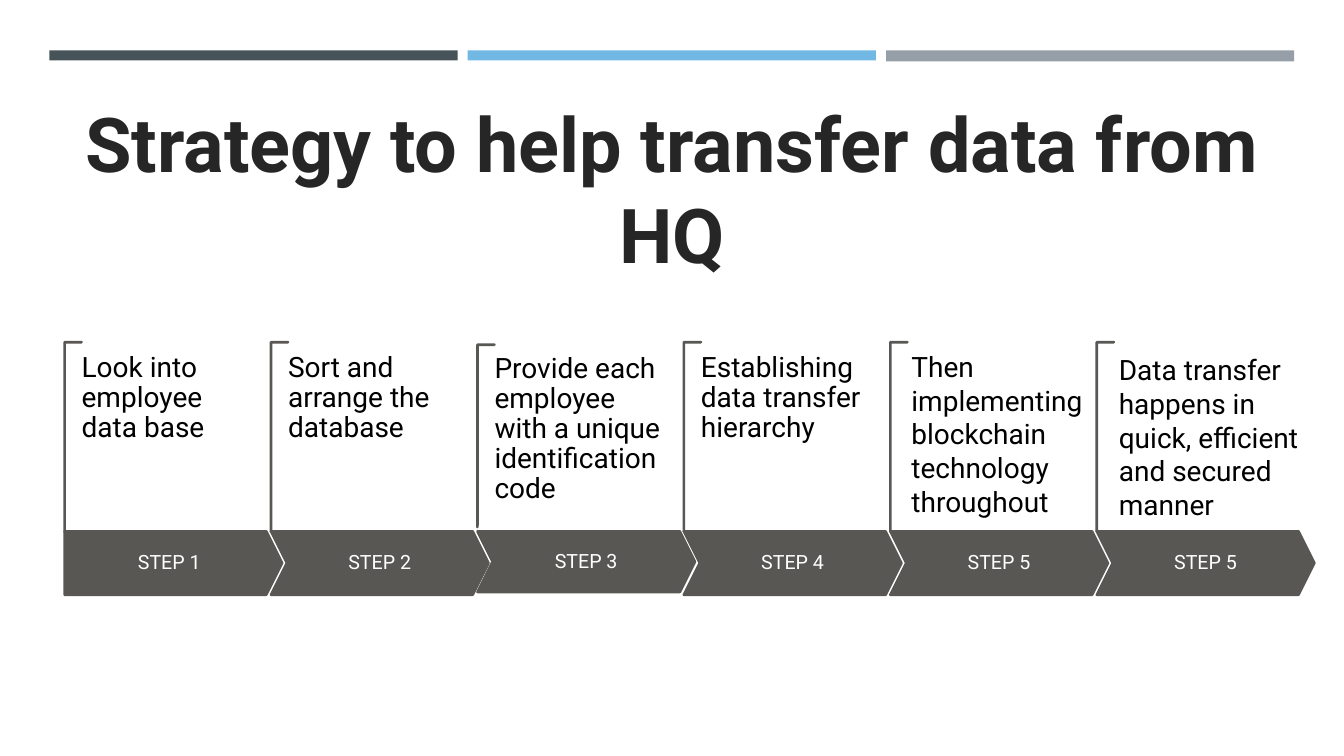
from pptx import Presentation
from pptx.util import Pt
from pptx.dml.color import RGBColor
from pptx.enum.shapes import MSO_SHAPE
from pptx.enum.text import PP_ALIGN, MSO_ANCHOR, MSO_AUTO_SIZE

TITLE = "Strategy to help transfer data from HQ"
BARS = [("465359", 7.2), ("71B9E4", 7.2), ("969FA7", 7.9)]
STEPS = [
    ("STEP 1", "Look into employee data base"),
    ("STEP 2", "Sort and arrange the database"),
    ("STEP 3", "Provide each employee with a unique identification code"),
    ("STEP 4", "Establishing data transfer hierarchy"),
    ("STEP 5", "Then implementing blockchain technology throughout"),
    ("STEP 5", "Data transfer happens in quick, efficient and secured manner"),
]
NOTE = {"dx": 12.2, "top": 252, "width": 126, "space": 0.9}
NOTES = {
    2: {**NOTE, "top": 252.7},
    4: {"dx": 15.1, "top": 249.8, "width": 134, "space": 1},
    5: {"dx": 15.8, "top": 252, "width": 132.5, "space": 1},
}
SHORT = 2
GRAY, CREAM, WHITE, BLACK, INK = "585753", "EBDDC3", "FFFFFF", "000000", "262626"
LEFT, PITCH, WIDE = 46.1, 147.46, 155.5
ROW, HIGH = 379.5, 45.4
ARM, TALL = 12.2, 135.4


def paint(color):
    return RGBColor.from_string(color)


def write(shape, text, size=20, color=BLACK, bold=False, align=PP_ALIGN.LEFT,
          anchor=MSO_ANCHOR.TOP, space=1, inset=(0, 0)):
    frame = shape.text_frame
    frame.word_wrap = True
    frame.auto_size = MSO_AUTO_SIZE.NONE
    frame.vertical_anchor = anchor
    frame.margin_left = frame.margin_right = Pt(inset[0])
    frame.margin_top = frame.margin_bottom = Pt(inset[1])
    line = frame.paragraphs[0]
    line.alignment = align
    line.line_spacing = space
    line.space_before = Pt(0)
    run = line.add_run()
    run.text = text
    run.font.name = "Roboto"
    run.font.size = Pt(size)
    run.font.bold = bold
    run.font.color.rgb = paint(color)


def draw(slide, kind, box, fill, edge=None, adjust=()):
    shape = slide.shapes.add_shape(kind, *map(Pt, box))
    shape.shadow.inherit = False
    shape.fill.solid()
    shape.fill.fore_color.rgb = paint(fill)
    if edge:
        shape.line.color.rgb = paint(edge)
        shape.line.width = Pt(1.75)
    else:
        shape.line.fill.background()
    for i, value in enumerate(adjust):
        shape.adjustments[i] = value
    return shape


def add_step(slide, i, label, text):
    x = LEFT + i * PITCH
    short = i == SHORT
    tall = TALL - 5 if short else TALL
    top = 246.2 if short else 244.4
    draw(slide, MSO_SHAPE.HALF_FRAME, (x, top, ARM, tall), CREAM, GRAY, (0.01, 0.01))
    kind = MSO_SHAPE.CHEVRON if i else MSO_SHAPE.PENTAGON
    high = HIGH - 2 if short else HIGH
    arrow = draw(slide, kind, (x, ROW, WIDE, high), GRAY, GRAY, (0.25,))
    write(arrow, label, size=14, color=WHITE, align=PP_ALIGN.CENTER,
          anchor=MSO_ANCHOR.MIDDLE, space=0.9)
    note = NOTES.get(i, NOTE)
    place = (x + note["dx"], note["top"], note["width"], 120)
    write(slide.shapes.add_textbox(*map(Pt, place)), text, space=note["space"])


def main():
    deck = Presentation()
    deck.slide_width, deck.slide_height = Pt(960), Pt(540)
    slide = deck.slides.add_slide(deck.slide_layouts[5])
    for i, (color, high) in enumerate(BARS):
        draw(slide, MSO_SHAPE.RECTANGLE, (35.3 + i * 298.8, 36, 291.6, high), color)
    title = slide.shapes.title
    title.left, title.top, title.width, title.height = map(Pt, (35.3, 65.5, 889.2, 136))
    write(title, TITLE, size=54, color=INK, bold=True, align=PP_ALIGN.CENTER,
          inset=(7.2, 3.6))
    for i, (label, text) in enumerate(STEPS):
        add_step(slide, i, label, text)
    deck.save("out.pptx")


if __name__ == "__main__":
    main()
